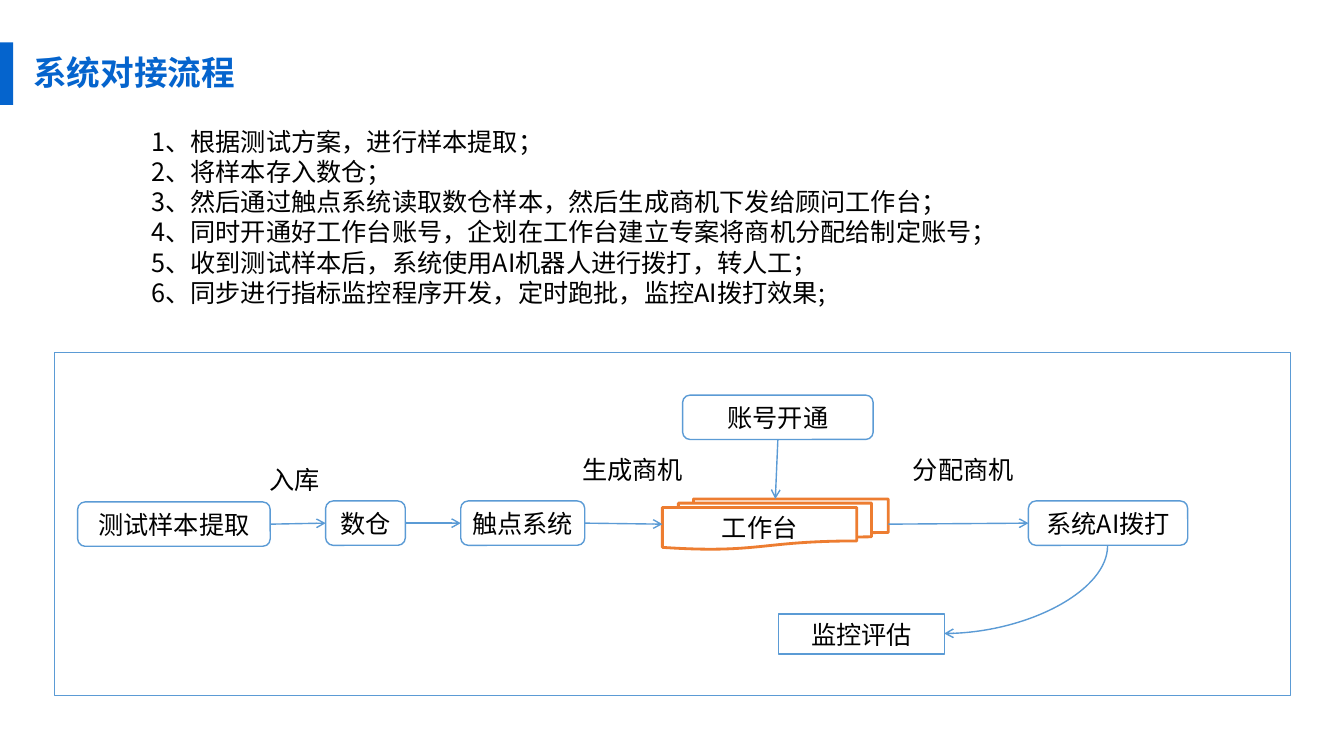
from pptx import Presentation
from pptx.dml.color import RGBColor
from pptx.enum.shapes import MSO_CONNECTOR, MSO_SHAPE
from pptx.enum.text import MSO_ANCHOR, MSO_AUTO_SIZE, PP_ALIGN
from pptx.oxml.ns import qn
from pptx.util import Inches, Pt
from lxml.etree import SubElement

BRAND_BLUE = RGBColor(0x05, 0x64, 0xCD)
LINE_BLUE = RGBColor(0x5B, 0x9B, 0xD5)
ORANGE = RGBColor(0xED, 0x7D, 0x31)
BLACK = RGBColor(0, 0, 0)
WHITE = RGBColor(0xFF, 0xFF, 0xFF)
FONT = "Noto Sans CJK SC"

TITLE = "系统对接流程"
STEPS = [
    "1、根据测试方案，进行样本提取；",
    "2、将样本存入数仓；",
    "3、然后通过触点系统读取数仓样本，然后生成商机下发给顾问工作台；",
    "4、同时开通好工作台账号，企划在工作台建立专案将商机分配给制定账号；",
    "5、收到测试样本后，系统使用AI机器人进行拨打，转人工；",
    "6、同步进行指标监控程序开发，定时跑批，监控AI拨打效果;",
]
ROUNDED = MSO_SHAPE.FLOWCHART_ALTERNATE_PROCESS
STACK = MSO_SHAPE.FLOWCHART_MULTIDOCUMENT
NODES = {
    "测试样本提取": (ROUNDED, 0.77, 4.98, 1.91, 0.44),
    "数仓": (ROUNDED, 3.23, 4.97, 0.79, 0.44),
    "触点系统": (ROUNDED, 4.57, 4.97, 1.23, 0.44),
    "账号开通": (ROUNDED, 6.77, 3.92, 1.89, 0.44),
    "工作台": (STACK, 6.57, 4.95, 2.24, 0.5),
    "系统AI拨打": (ROUNDED, 10.2, 4.97, 1.58, 0.44),
    "监控评估": (MSO_SHAPE.RECTANGLE, 7.72, 6.09, 1.65, 0.4),
}
TOP, LEFT, BOTTOM, RIGHT = range(4)
FLOWS = [
    ("测试样本提取", RIGHT, "数仓", LEFT),
    ("数仓", RIGHT, "触点系统", LEFT),
    ("触点系统", RIGHT, "工作台", LEFT),
    ("账号开通", BOTTOM, "工作台", TOP),
    ("工作台", RIGHT, "系统AI拨打", LEFT),
]
FLOW_LABELS = [
    ("入库", 2.62, 4.56, 0.61),
    ("生成商机", 5.64, 4.46, 1.27),
    ("分配商机", 8.92, 4.46, 1.27),
]


def write(shape, text, size=18, color=BLACK, bold=False, align=PP_ALIGN.CENTER,
          anchor=MSO_ANCHOR.MIDDLE, spacing=None):
    frame = shape.text_frame
    frame.word_wrap = True
    frame.auto_size = MSO_AUTO_SIZE.NONE
    frame.vertical_anchor = anchor
    frame.margin_left = frame.margin_right = Inches(0.05)
    frame.margin_top = frame.margin_bottom = Inches(0.05)
    frame.text = text
    for paragraph in frame.paragraphs:
        paragraph.alignment = align
        paragraph.line_spacing = spacing
        paragraph.space_before = Pt(0)
        for run in paragraph.runs:
            run.font.size = Pt(size)
            run.font.bold = bold
            run.font.color.rgb = color
            run.font.name = FONT
            SubElement(run.font._element, qn("a:ea")).set("typeface", FONT)


def place(shape, *box):
    shape.left, shape.top, shape.width, shape.height = map(Inches, box)


def add_box(kind, *box, fill=WHITE, line=LINE_BLUE, weight=1):
    shape = slide.shapes.add_shape(kind, *map(Inches, box))
    shape.shadow.inherit = False
    shape.fill.solid()
    shape.fill.fore_color.rgb = fill
    shape.line.color.rgb = line
    shape.line.width = Pt(weight)
    return shape


def add_arrow(kind, source, source_side, target, target_side):
    arrow = slide.shapes.add_connector(kind, 0, 0, 0, 0)
    arrow.begin_connect(nodes[source], source_side)
    arrow.end_connect(nodes[target], target_side)
    arrow.line.color.rgb = LINE_BLUE
    arrow.line.width = Pt(1)
    SubElement(arrow.line._get_or_add_ln(), qn("a:tailEnd")).set("type", "arrow")
    SubElement(arrow._element.spPr, qn("a:effectLst"))
    return arrow


deck = Presentation()
deck.slide_width, deck.slide_height = Inches(13.33), Inches(7.5)
slide = deck.slides.add_slide(deck.slide_layouts[1])

title = slide.shapes.title
place(title, 0.28, 0.37, 10.83, 0.74)
write(title, TITLE, size=24, color=BRAND_BLUE, bold=True, align=PP_ALIGN.LEFT, spacing=0.9)

steps = slide.placeholders[1]
place(steps, 1.45, 1.2, 10.33, 1.92)
write(steps, "\n".join(STEPS), align=PP_ALIGN.LEFT, anchor=MSO_ANCHOR.TOP, spacing=Pt(21.6))
for step in steps.text_frame.paragraphs:
    properties = step._p.get_or_add_pPr()
    properties.set("marL", "0")
    properties.set("indent", "0")
    SubElement(properties, qn("a:buNone"))

title_bar = add_box(MSO_SHAPE.RECTANGLE, 0, 0.42, 0.13, 0.62, fill=BRAND_BLUE)
title_bar.line.fill.background()
add_box(MSO_SHAPE.RECTANGLE, 0.54, 3.5, 12.26, 3.4)

nodes = {}
for name, (kind, *box) in NODES.items():
    accent = {"line": ORANGE, "weight": 2} if kind == STACK else {}
    nodes[name] = add_box(kind, *box, **accent)
    write(nodes[name], name)

for flow in FLOWS:
    add_arrow(MSO_CONNECTOR.STRAIGHT, *flow)

feedback = add_arrow(MSO_CONNECTOR.CURVE, "系统AI拨打", BOTTOM, "监控评估", RIGHT)
place(feedback, 9.74, 5.04, 0.87, 1.62)
feedback_frame = feedback._element.spPr.find(qn("a:xfrm"))
feedback_frame.attrib.pop("flipH", None)
feedback_frame.attrib.pop("flipV", None)
feedback_frame.set("rot", "5400000")
feedback._element.spPr.find(qn("a:prstGeom")).set("prst", "curvedConnector2")

for label, left, top, width in FLOW_LABELS:
    caption = slide.shapes.add_textbox(*map(Inches, (left, top, width, 0.4)))
    write(caption, label, anchor=MSO_ANCHOR.TOP)

deck.save("out.pptx")
